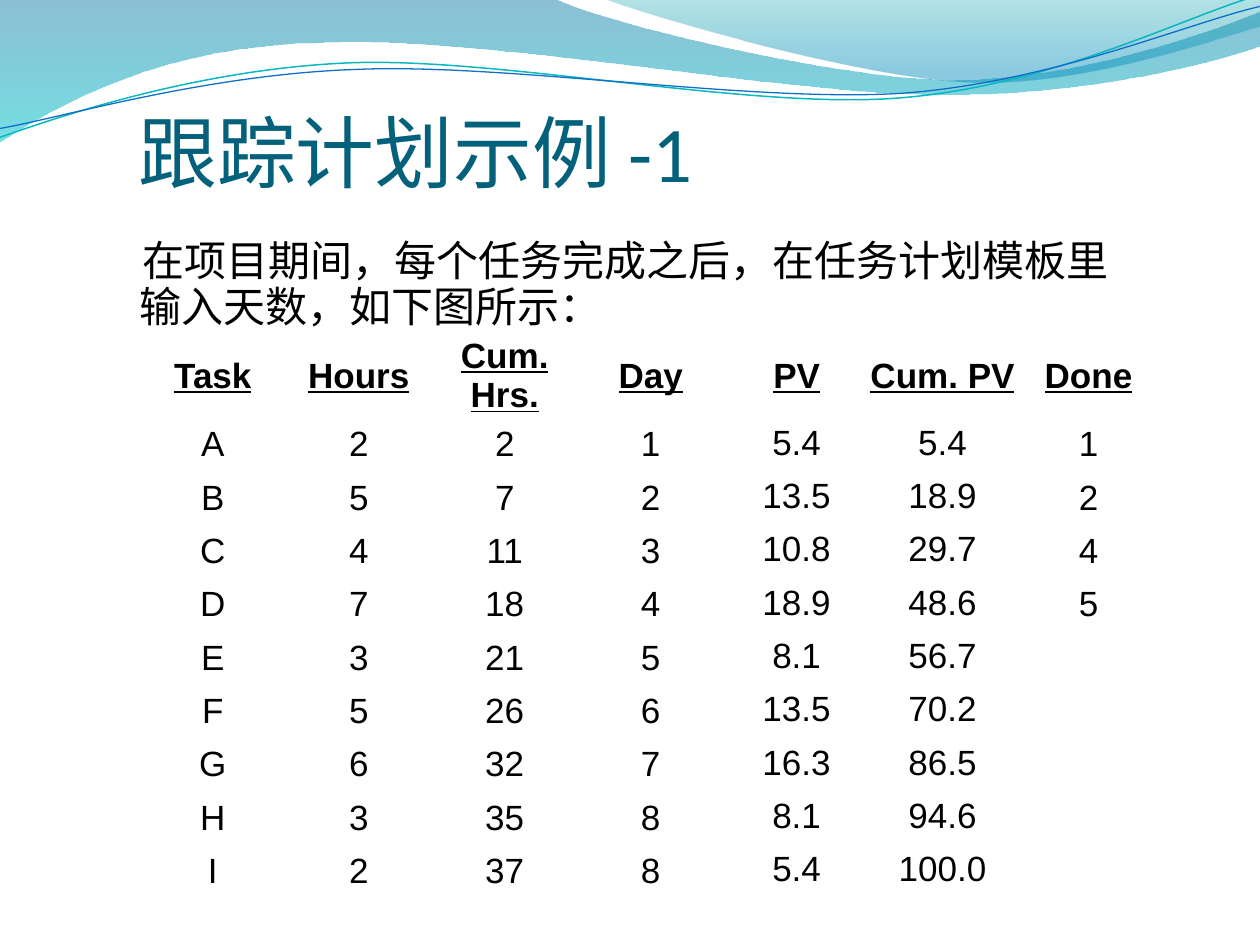
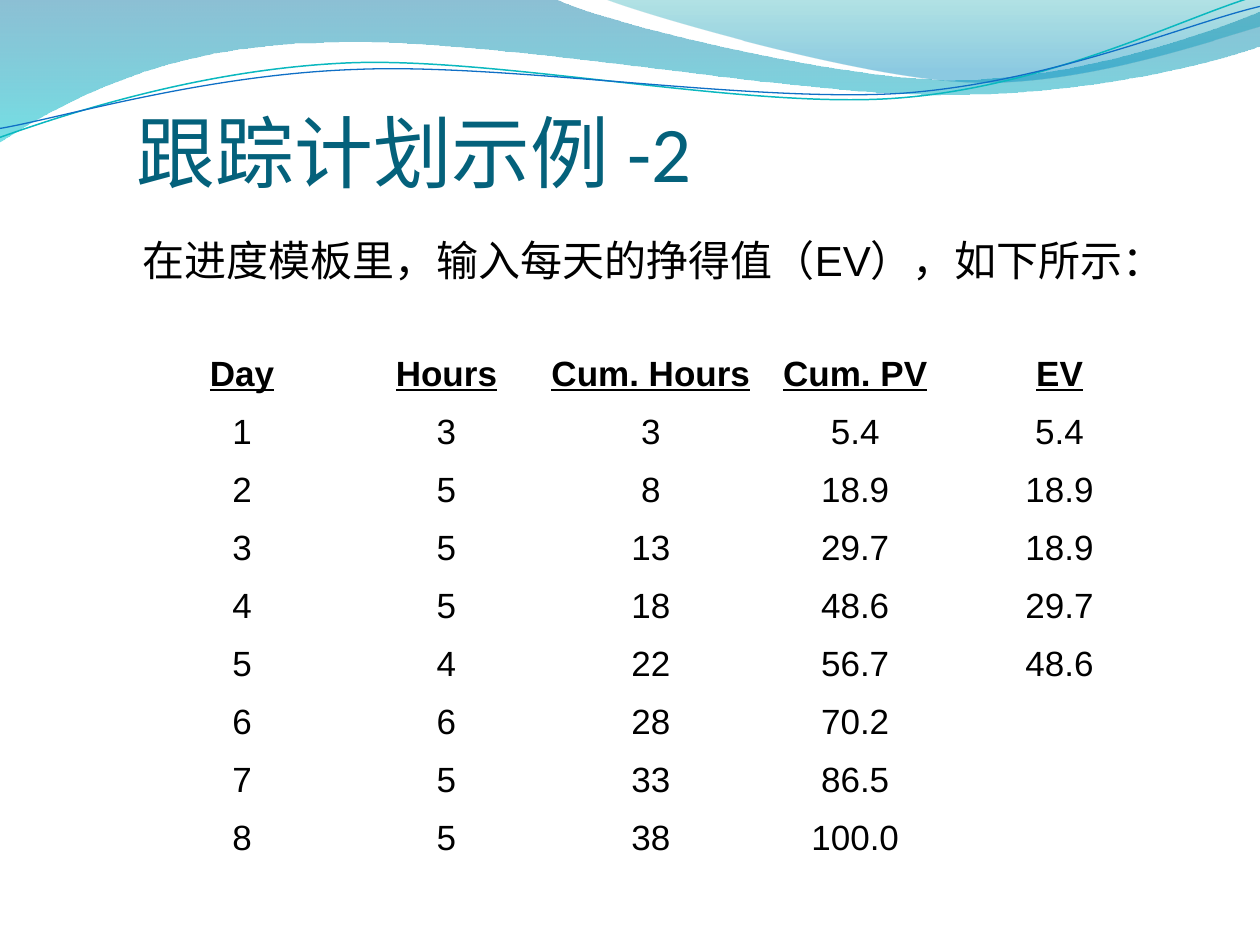
import math
import pptx
import pptx.dml.color
import pptx.enum.text
import pptx.oxml.ns
import pptx.util
from dataclasses import dataclass
from lxml import etree

Cm, Pt, qn = pptx.util.Cm, pptx.util.Pt, pptx.oxml.ns.qn
ALIGN, ANCHOR = pptx.enum.text.PP_ALIGN, pptx.enum.text.MSO_ANCHOR

# Content, with the places that differ between the slides in cm
LESSONS = [
    {
        "title": "跟踪计划示例 -1",
        "intro": "在项目期间，每个任务完成之后，在任务计划模板里输入天数，如下图所示：",
        "header": ["Task", "Hours", "Cum. Hrs.", "Day", "PV", "Cum. PV", "Done"],
        "rows": [
            ("A", "2", "2", "1", "5.4", "5.4", "1"),
            ("B", "5", "7", "2", "13.5", "18.9", "2"),
            ("C", "4", "11", "3", "10.8", "29.7", "4"),
            ("D", "7", "18", "4", "18.9", "48.6", "5"),
            ("E", "3", "21", "5", "8.1", "56.7", ""),
            ("F", "5", "26", "6", "13.5", "70.2", ""),
            ("G", "6", "32", "7", "16.3", "86.5", ""),
            ("H", "3", "35", "8", "8.1", "94.6", ""),
            ("I", "2", "37", "8", "5.4", "100.0", ""),
        ],
        "tight_columns": ("PV", "Cum. PV"),
        "title_left": 2.46, "intro_left": 2.14, "intro_height": 1.85,
        "table_top": 6.73, "table_height": 11.35, "row_height": 1.075,
    },
    {
        "title": "跟踪计划示例 -2",
        "intro": "在进度模板里，输入每天的挣得值（EV），如下所示：",
        "header": ["Day", "Hours", "Cum. Hours", "Cum. PV", "EV"],
        "rows": [
            ("1", "3", "3", "5.4", "5.4"),
            ("2", "5", "8", "18.9", "18.9"),
            ("3", "5", "13", "29.7", "18.9"),
            ("4", "5", "18", "48.6", "29.7"),
            ("5", "4", "22", "56.7", "48.6"),
            ("6", "6", "28", "70.2", ""),
            ("7", "5", "33", "86.5", ""),
            ("8", "5", "38", "100.0", ""),
        ],
        "tight_columns": (),
        "title_left": 2.43, "intro_left": 2.15, "intro_height": 1.98,
        "table_top": 6.96, "table_height": 10.53, "row_height": 1.17,
    },
]


@dataclass(frozen=True)
class Theme:
    title_color: str = "04617B"
    text_color: str = "000000"
    title_font: str = "Calibri"
    text_font: str = "Arial"
    title_size: float = 45
    intro_size: float = 24
    table_size: float = 20
    line_spacing: float = 0.9
    # Gradient stops: position, colour, opacity in percent
    wide_wave: tuple = ((0, "0074A1", 45), (1, "00C6CF", 55))
    right_wave: tuple = ((0, "00A1A9", 30), (0.8, "008BBF", 45))
    # Colour and width
    teal_line: tuple = ("0AB8BF", 0.85)
    blue_line: tuple = ("0F6FC6", 0.75)


THEME = Theme()

# Wave outlines in cm: one point is a straight step, three points a Bézier curve
WIDE_WAVE = [
    [(0, -0.03)], [(11.18, -0.03)],
    [(12.09, 0.43), (16.87, 1.6), (19.25, 1.6)],
    [(21.67, 1.6), (24.33, 0.66), (25.4, 0.23)],
    [(25.43, 0.91)],
    [(24.97, 1.12), (22.1, 1.93), (18.95, 1.91)],
    [(15.8, 1.91), (9.7, 0.71), (6.53, 0.86)],
    [(3.28, 0.89), (1.17, 2.11), (-0.03, 2.87)],
]
RIGHT_WAVE = [
    [(12.17, -0.03)],
    [(12.93, 0.28), (17.32, 1.57), (19.53, 1.65)],
    [(21.74, 1.75), (24.41, 0.81), (25.4, 0.53)],
    [(25.4, 0)],
]
TEAL_LINE = [
    [(0, 2.77)],
    [(1.22, 2.34), (3.99, 1.4), (7.01, 1.27)],
    [(10.03, 1.14), (15.04, 2.21), (18.08, 1.98)],
    [(21.16, 1.75), (23.83, 0.36), (25.32, -0.08)],
]
BLUE_LINE = [
    [(0, 2.59)],
    [(1.19, 2.39), (4.14, 1.5), (7.19, 1.4)],
    [(10.21, 1.27), (15.16, 2.08), (18.21, 1.88)],
    [(21.23, 1.65), (23.9, 0.48), (25.4, 0.13)],
]
LINE_TILT = -2.7
TEAL_CENTER, BLUE_CENTER = (12.67, 1.44), (12.7, 1.47)
TABLE_LEFT, TABLE_WIDTH = 2.82, 20.6


def rgb(color):
    return pptx.dml.color.RGBColor.from_string(color)


def write(frame, text, *, size, color=THEME.text_color, font=THEME.text_font,
          bold=False, underline=False, align=ALIGN.LEFT, spacing=None,
          hanging=0, bullet=None):
    paragraph = frame.paragraphs[0]
    paragraph.alignment, paragraph.line_spacing = align, spacing
    if hanging:
        layout = paragraph._p.get_or_add_pPr()
        layout.set("marL", str(Cm(hanging)))
        layout.set("indent", str(-Cm(hanging)))
        if bullet:
            etree.SubElement(layout, qn("a:buChar"), char=bullet)
    run = paragraph.add_run()
    run.text = text
    run.font.size, run.font.name = Pt(size), font
    run.font.bold, run.font.underline = bold, underline
    run.font.color.rgb = rgb(color)


def add_text(slide, text, left, top, width, height, *, inset, anchor=ANCHOR.TOP, **style):
    frame = slide.shapes.add_textbox(Cm(left), Cm(top), Cm(width), Cm(height)).text_frame
    frame.word_wrap = True
    frame.vertical_anchor = anchor
    frame.margin_left = frame.margin_right = Cm(inset)
    frame.margin_top = frame.margin_bottom = Cm(0.15)
    write(frame, text, spacing=THEME.line_spacing, **style)


# Waves
def turn(point, center, degrees):
    angle = math.radians(degrees)
    x, y = point[0] - center[0], point[1] - center[1]
    return (center[0] + x * math.cos(angle) - y * math.sin(angle),
            center[1] + x * math.sin(angle) + y * math.cos(angle))


def bend(wave, steps):
    """Join each three straight segments of a curved step into one Bézier curve."""
    segments = list(wave.element.iter(qn("a:lnTo")))
    for step in steps[1:]:
        first, *others = [segments.pop(0) for _ in step]
        if others:
            first.tag = qn("a:cubicBezTo")
            for segment in others:
                first.append(segment[0])
                segment.getparent().remove(segment)


def add_wave(slide, steps, *, gradient=None, line=None, tilt=0, center=(0, 0)):
    start, *rest = [tuple(Cm(value) for value in turn(point, center, -tilt))
                    for step in steps for point in step]
    builder = slide.shapes.build_freeform(*start)
    builder.add_line_segments(rest, close=gradient is not None)
    wave = builder.convert_to_shape()
    bend(wave, steps)
    wave.rotation = tilt
    wave.shadow.inherit = False
    if gradient:
        wave.line.fill.background()
        wave.fill.gradient()
        wave.fill.gradient_angle = 270
        for stop, (position, color, _) in zip(wave.fill.gradient_stops, gradient):
            stop.position, stop.color.rgb = position, rgb(color)
        tints = wave.element.spPr.iter(qn("a:srgbClr"))
        for tint, (_, _, opacity) in zip(tints, gradient):
            etree.SubElement(tint, qn("a:alpha"), val=str(opacity * 1000))
    else:
        wave.fill.background()
        wave.line.color.rgb, wave.line.width = rgb(line[0]), Pt(line[1])
    return wave


def add_waves_to_master(deck, slide):
    """Draw the waves once, then hand them to the master that all slides share."""
    waves = [
        add_wave(slide, WIDE_WAVE, gradient=THEME.wide_wave),
        add_wave(slide, RIGHT_WAVE, gradient=THEME.right_wave),
        add_wave(slide, TEAL_LINE, line=THEME.teal_line, tilt=LINE_TILT, center=TEAL_CENTER),
        add_wave(slide, BLUE_LINE, line=THEME.blue_line, tilt=LINE_TILT, center=BLUE_CENTER),
    ]
    for wave in waves:
        deck.slide_master.shapes.element.append(wave.element)


# Tables
def add_plan(slide, lesson):
    header = lesson["header"]
    lines = [header, *lesson["rows"]]
    plan = slide.shapes.add_table(len(lines), len(header), Cm(TABLE_LEFT),
                                  Cm(lesson["table_top"]), Cm(TABLE_WIDTH),
                                  Cm(lesson["table_height"])).table
    plan.first_row = plan.horz_banding = False
    for column in plan.columns:
        column.width = Cm(TABLE_WIDTH / len(header))
    for r, values in enumerate(lines):
        plan.rows[r].height = Cm(lesson["row_height"])
        for c, value in enumerate(values):
            cell = plan.cell(r, c)
            cell.fill.background()
            cell.vertical_anchor = ANCHOR.MIDDLE
            cell.margin_left = cell.margin_right = cell.margin_top = cell.margin_bottom = 0
            if not value:
                continue
            tight = r > 0 and header[c] in lesson["tight_columns"]
            write(cell.text_frame, value, size=THEME.table_size, bold=r == 0,
                  underline=r == 0, align=ALIGN.CENTER,
                  spacing=THEME.line_spacing if tight else None)


def main():
    deck = pptx.Presentation()
    deck.slide_width, deck.slide_height = Cm(25.4), Cm(19.05)
    for number, lesson in enumerate(LESSONS):
        slide = deck.slides.add_slide(deck.slide_layouts[6])
        if number == 0:
            add_waves_to_master(deck, slide)
        add_text(slide, lesson["intro"], lesson["intro_left"], 4.7, 21,
                 lesson["intro_height"], inset=0.31, size=THEME.intro_size,
                 hanging=0.36, bullet=" ")
        add_text(slide, lesson["title"], lesson["title_left"], 2.29, 20.62, 1.75,
                 inset=0.33, anchor=ANCHOR.MIDDLE, size=THEME.title_size,
                 color=THEME.title_color, font=THEME.title_font, hanging=0.97)
        add_plan(slide, lesson)
    deck.save("out.pptx")


if __name__ == "__main__":
    main()
